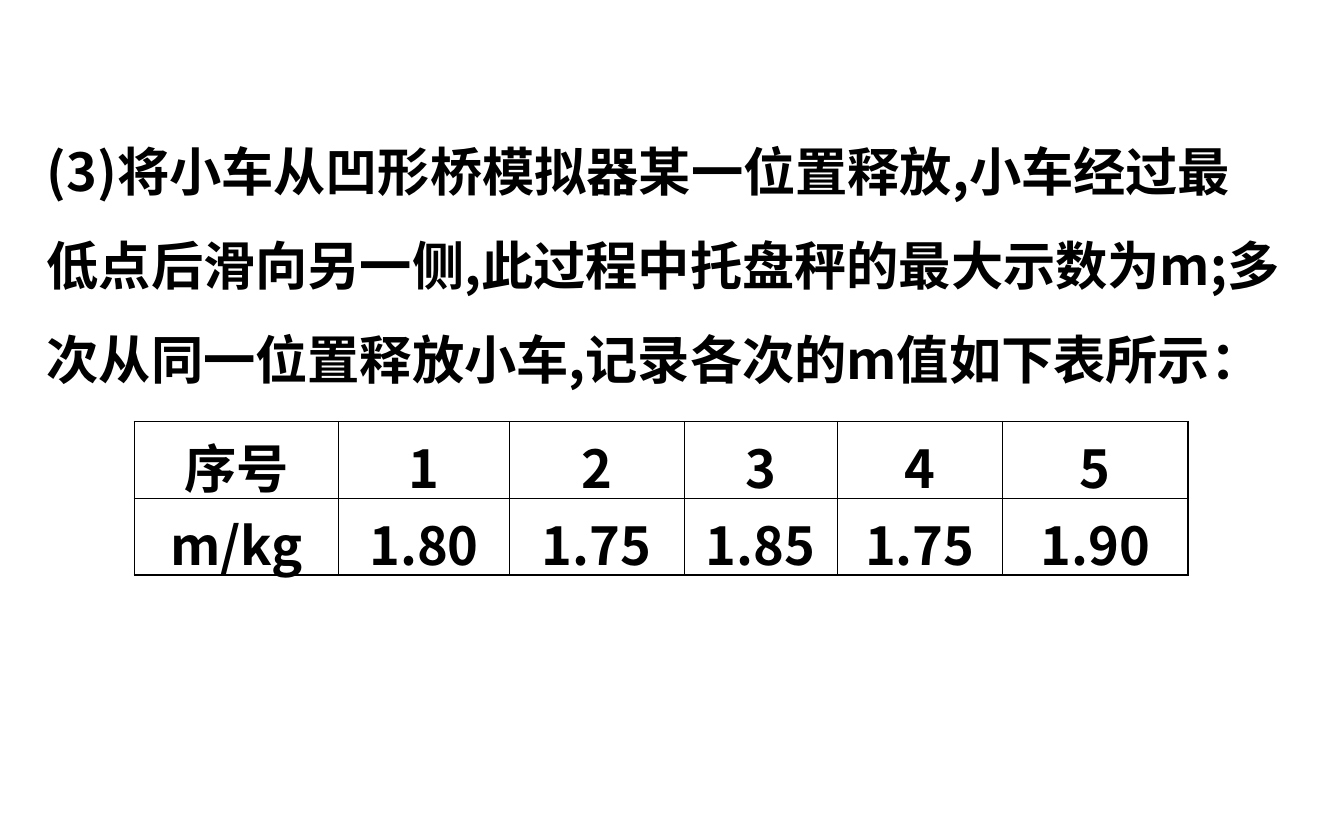
from lxml import etree
from pptx import Presentation
from pptx import util as u
from pptx.dml.color import RGBColor
from pptx.enum import text
from pptx.oxml import ns

COLOURS = {"ink": "000000", "paper": "FFFFFF"}
FONT = {"name": "Noto Sans CJK SC", "size": u.Pt(28), "bold": True}
THIN, THICK = 0.45, 0.96

QUESTION = [
    "(3)将小车从凹形桥模拟器某一位置释放,小车经过最",
    "低点后滑向另一侧,此过程中托盘秤的最大示数为m;多",
    "次从同一位置释放小车,记录各次的m值如下表所示：",
]
READINGS = [
    ["序号", "1", "2", "3", "4", "5"],
    ["m/kg", "1.80", "1.75", "1.85", "1.75", "1.90"],
]
COLUMN_WIDTHS = [1.52, 1.27, 1.3, 1.14, 1.23, 1.38]
ROW_HEIGHT = 0.57


class Sheet:
    def __init__(self, width, height):
        self.deck = Presentation()
        self.deck.slide_width = self.width = u.Inches(width)
        self.deck.slide_height = self.height = u.Inches(height)
        self.slide = self.deck.slides.add_slide(self.deck.slide_layouts[6])
        background = self.slide.background.fill
        background.solid()
        background.fore_color.rgb = RGBColor.from_string(COLOURS["paper"])

    def place(self, left, top, width, height):
        return (int(left * self.width), int(top * self.height),
                int(width * self.width), int(height * self.height))

    def add_words(self, paragraph, words, **layout):
        run = paragraph.add_run()
        run.text = words
        for name, value in layout.items():
            setattr(paragraph, name, value)
        for name, value in FONT.items():
            setattr(run.font, name, value)
        run.font.color.rgb = RGBColor.from_string(COLOURS["ink"])
        east_asian = etree.SubElement(run.font._element, ns.qn("a:ea"))
        east_asian.set("typeface", FONT["name"])

    def passage(self, lines, *share):
        frame = self.slide.shapes.add_textbox(*self.place(*share)).text_frame
        frame.word_wrap = True
        for index, line in enumerate(lines):
            paragraph = frame.add_paragraph() if index else frame.paragraphs[0]
            self.add_words(paragraph, line, line_spacing=1.5)

    def border(self, cell, side, points):
        line = etree.SubElement(cell._tc.get_or_add_tcPr(), ns.qn(f"a:ln{side}"))
        line.set("w", str(u.Pt(points)))
        fill = etree.SubElement(line, ns.qn("a:solidFill"))
        etree.SubElement(fill, ns.qn("a:srgbClr")).set("val", COLOURS["ink"])

    def grid(self, rows, widths, *share):
        last_row, last_column = len(rows) - 1, len(widths) - 1
        table = self.slide.shapes.add_table(
            len(rows), len(widths), *self.place(*share)).table
        for column, width in zip(table.columns, widths):
            column.width = u.Inches(width)
        for r, row in enumerate(rows):
            table.rows[r].height = u.Inches(ROW_HEIGHT)
            for c, words in enumerate(row):
                cell = table.cell(r, c)
                cell.vertical_anchor = text.MSO_ANCHOR.MIDDLE
                outer = {"L": c == 0, "R": c == last_column,
                         "T": r == 0, "B": r == last_row}
                for side, edge in outer.items():
                    self.border(cell, side, THICK if edge else THIN)
                cell.fill.background()
                self.add_words(cell.text_frame.paragraphs[0], words,
                               alignment=text.PP_ALIGN.CENTER)

    def save(self):
        self.deck.save("out.pptx")


def main():
    sheet = Sheet(10, 6.25)
    sheet.passage(QUESTION, 0.025, 0.12, 1.053, 0.352)
    sheet.grid(READINGS, COLUMN_WIDTHS, 0.1, 0.502, 0.784, 0.182)
    sheet.save()


if __name__ == "__main__":
    main()
